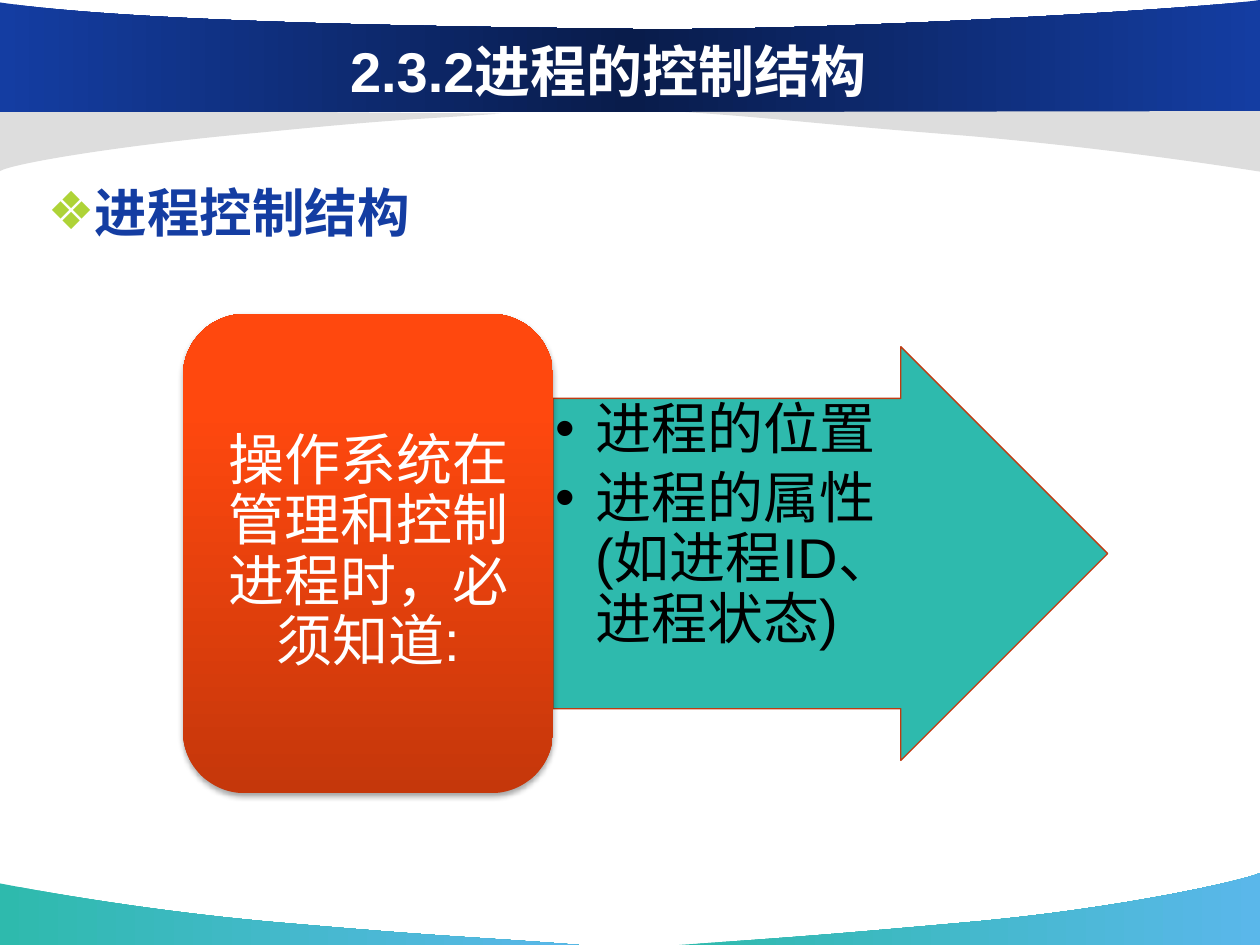
import copy

import lxml.etree
import pptx
import pptx.dml.color
import pptx.enum.shapes
import pptx.enum.text
import pptx.oxml.ns
import pptx.util

Cm, Pt = pptx.util.Cm, pptx.util.Pt
qn = pptx.oxml.ns.qn
SHAPE = pptx.enum.shapes.MSO_SHAPE
ALIGN = pptx.enum.text.PP_ALIGN
ANCHOR = pptx.enum.text.MSO_ANCHOR

TEAL, ORANGE, BLUE = "2EBAAD", "FF480E", "143DA2"
WAVE_FILL = [(0, TEAL), (100, "5AB7EA")]
BAND_FILL = [(0, BLUE), (50, "091C4B"), (100, BLUE)]
CARD_FILL = [(0, "C5370B"), (80, ORANGE), (100, "FF4910")]

BACKDROP = [
    (WAVE_FILL, [(11.68, 19.05), (9.75, 18.9, 9.09, 18.9, 5.89, 18.62),
                 (2.69, 18.36, 0.03, 17.81, 0, 17.81), (0, 19.05)]),
    (WAVE_FILL, [(13.69, 19.05), (15.6, 18.92, 16.41, 18.87, 19.53, 18.59),
                 (22.66, 18.31, 25.15, 17.73, 25.4, 17.6), (25.4, 19.05)]),
    ("DDDDDD", [(10.11, 2.29), (8.41, 2.41, 8.08, 2.39, 5.28, 2.67),
                (2.46, 2.92, 0.23, 3.3, 0, 3.45), (0, 2.21)]),
    (BAND_FILL, [(0, 2.26), (25.4, 2.26), (25.4, 0),
                 (24.49, 0.15, 16.59, 0.66, 12.37, 0.58),
                 (8.15, 0.53, 2.57, 0.43, 0, 0.05)]),
    ("DDDDDD", [(13.82, 2.26), (15.75, 2.39, 16.31, 2.49, 19.51, 2.74),
                (22.71, 3.02, 25.37, 3.46, 25.4, 3.46), (25.4, 2.24)]),
]


def rgb(value):
    """Turn a hex string into a colour."""
    return pptx.dml.color.RGBColor.from_string(value)


def set_attrs(target, values):
    """Set each attribute of a target from a dict."""
    for name, value in values.items():
        setattr(target, name, value)


def set_fill(shape, fill, angle=0):
    """Fill a shape with one colour or with gradient stops."""
    if isinstance(fill, str):
        shape.fill.solid()
        shape.fill.fore_color.rgb = rgb(fill)
        return
    shape.fill.gradient()
    shape.fill.gradient_angle = angle
    stops = shape._element.spPr.find(".//" + qn("a:gsLst"))
    while len(stops) < len(fill):
        stops.append(copy.deepcopy(stops[-1]))
    for stop, (position, color) in zip(shape.fill.gradient_stops, fill):
        stop.position = position / 100
        stop.color.rgb = rgb(color)


def bend_curves(shape, segments):
    """Join the lines through each curve's control points into a Bezier curve."""
    lines = iter(list(shape._element.spPr.iter(qn("a:lnTo"))))
    for segment in segments:
        first = next(lines)
        if len(segment) == 6:
            first.tag = qn("a:cubicBezTo")
            for _ in range(2):
                line = next(lines)
                first.append(line[0])
                line.getparent().remove(line)


def add_outline(s, fill, segments):
    """Draw a closed outline made of lines and curves."""
    points = [(Cm(part[i]), Cm(part[i + 1]))
              for part in segments for i in range(0, len(part), 2)]
    builder = s.shapes.build_freeform(*points[0], scale=1.0)
    builder.add_line_segments(points[1:], close=True)
    shape = builder.convert_to_shape()
    bend_curves(shape, segments[1:])
    shape.shadow.inherit = False
    shape.line.fill.background()
    set_fill(shape, fill)


def add_preset(s, kind, box, fill, angle=0, line=None):
    """Add a preset shape without the default styling."""
    shape = s.shapes.add_shape(kind, *map(Cm, box))
    shape.shadow.inherit = False
    set_fill(shape, fill, angle)
    if line:
        shape.line.color.rgb = rgb(line)
        shape.line.width = Pt(0.75)
    else:
        shape.line.fill.background()
    return shape


def add_soft_shadow(shape):
    """Give a shape a soft shadow below it."""
    effects = shape._element.spPr.find(qn("a:effectLst"))
    shadow = lxml.etree.SubElement(
        effects, qn("a:outerShdw"), blurRad=str(Pt(3.1)), dist=str(Pt(1.8)),
        dir="5400000", rotWithShape="0")
    color = lxml.etree.SubElement(shadow, qn("a:srgbClr"), val="000000")
    lxml.etree.SubElement(color, qn("a:alpha"), val="35000")


def set_bullet(p, char, indent, color=None):
    """Give a paragraph a bullet with a hanging indent."""
    props = p._p.get_or_add_pPr()
    props.set("marL", str(Cm(indent)))
    props.set("indent", str(-Cm(indent)))
    if color:
        holder = lxml.etree.SubElement(props, qn("a:buClr"))
        lxml.etree.SubElement(holder, qn("a:srgbClr"), val=color)
    lxml.etree.SubElement(props, qn("a:buFont"), typeface="Arial")
    lxml.etree.SubElement(props, qn("a:buChar"), char=char)


def write(shape, box, lines, color, size=32, bold=False, frame=None, para=None, bullet=None):
    """Place a text shape and write its formatted paragraphs."""
    set_attrs(shape, dict(zip(("left", "top", "width", "height"), map(Cm, box))))
    tf = shape.text_frame
    set_attrs(tf, {"word_wrap": True, **(frame or {})})
    for i, line in enumerate(lines):
        p = tf.add_paragraph() if i else tf.paragraphs[0]
        set_attrs(p, para or {})
        if bullet:
            set_bullet(p, *bullet)
        r = p.add_run()
        r.text = line
        set_attrs(r.font, {"name": "Arial", "size": Pt(size), "bold": bold})
        r.font.color.rgb = rgb(color)


def add_text(s, box, *args, **formats):
    """Add a text box and write into it."""
    write(s.shapes.add_textbox(*map(Cm, box)), box, *args, **formats)


def margins(side, end):
    """Return text frame margins for the sides and the ends."""
    return {"margin_left": Cm(side), "margin_right": Cm(side),
            "margin_top": Cm(end), "margin_bottom": Cm(end)}


def main():
    """Build the slide and save it."""
    prs = pptx.Presentation()
    set_attrs(prs, {"slide_width": Cm(25.4), "slide_height": Cm(19.05)})
    s = prs.slides.add_slide(prs.slide_layouts[5])
    for fill, segments in BACKDROP:
        add_outline(s, fill, segments)

    title = s.shapes.title
    title._element.getparent().append(title._element)
    write(title, (2.33, 0.62, 19.88, 1.57), ["2.3.2进程的控制结构"], "FFFFFF", bold=True,
          frame={"vertical_anchor": ANCHOR.MIDDLE}, para={"alignment": ALIGN.CENTER})
    add_text(s, (0.71, 3.25, 22.86, 12.57), ["进程控制结构"], BLUE, size=30, bold=True,
             para={"line_spacing": 1.2, "space_before": Pt(6)}, bullet=("❖", 0.95, "AED337"))

    arrow = add_preset(s, SHAPE.RIGHT_ARROW, (11.15, 6.99, 11.18, 8.34), TEAL, line="BF3B12")
    arrow.adjustments[0] = 0.75
    add_text(s, (11.15, 8.03, 8.05, 6.25), ["进程的位置", "进程的属性(如进程ID、进程状态)"],
             "000000", frame=margins(0.05, 0.05),
             para={"line_spacing": 0.9, "space_after": Pt(4.8)}, bullet=("•", 0.8))

    card = add_preset(s, SHAPE.ROUNDED_RECTANGLE, (3.69, 6.33, 7.46, 9.66), CARD_FILL, angle=90)
    add_soft_shadow(card)
    add_text(s, (4.06, 6.68, 6.73, 8.94), ["操作系统在管理和控制进程时，必须知道:"], "FFFFFF",
             frame={"vertical_anchor": ANCHOR.MIDDLE, **margins(0.33, 0.18)},
             para={"alignment": ALIGN.CENTER, "line_spacing": 0.9})
    prs.save("out.pptx")


if __name__ == "__main__":
    main()
